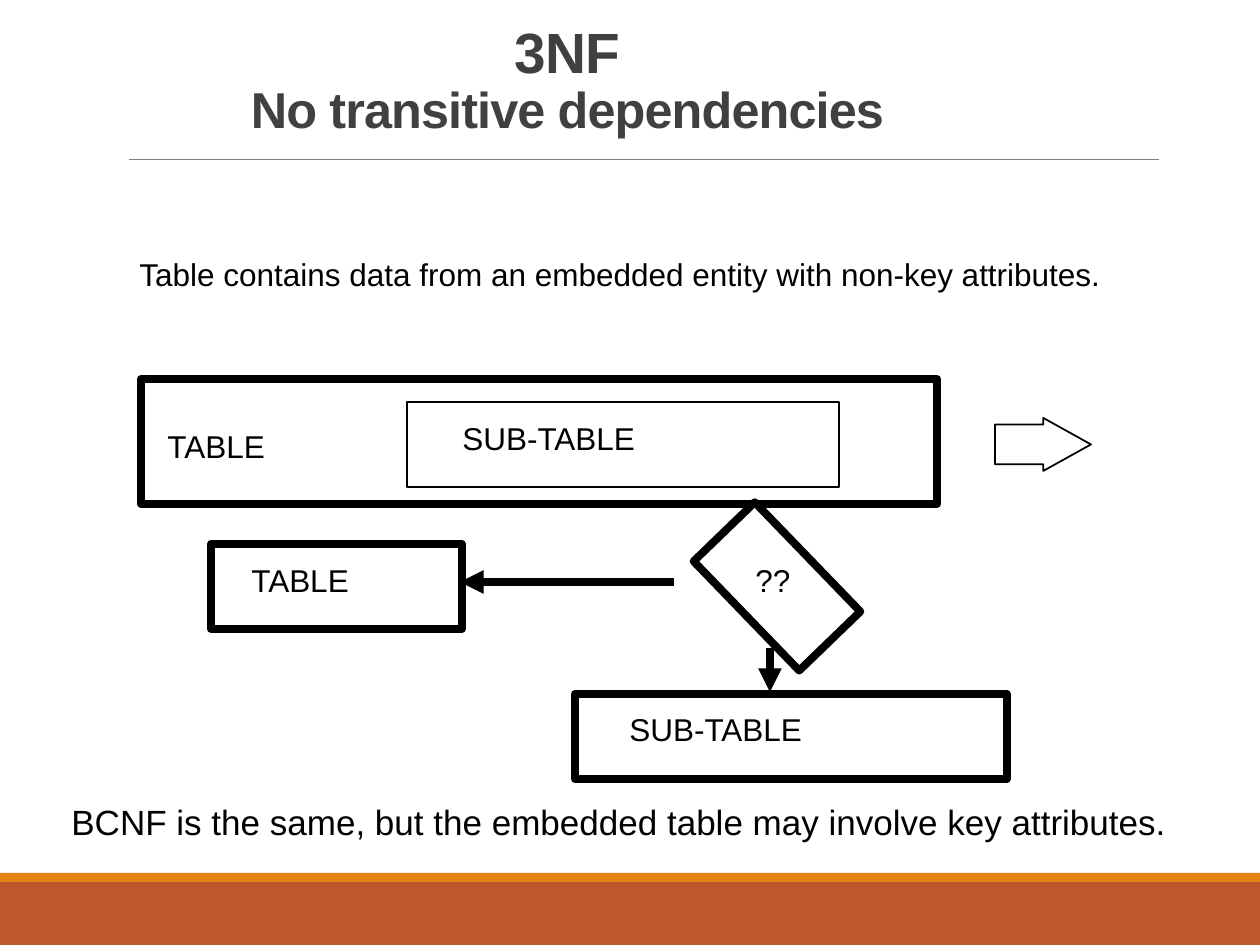
from lxml.etree import SubElement
from pptx import Presentation
from pptx.dml.color import RGBColor
from pptx.enum.shapes import MSO_CONNECTOR, MSO_SHAPE
from pptx.enum.text import MSO_ANCHOR, PP_ALIGN
from pptx.oxml.ns import qn
from pptx.util import Emu, Pt

SCALE = 914400 // 126
THICK, THIN = 4.5, 1
BOX, ARROW = MSO_SHAPE.RECTANGLE, MSO_SHAPE.RIGHT_ARROW


def px(*lengths):
    return [Emu(length * SCALE) for length in lengths]


def color(value):
    return RGBColor.from_string(value)


class Sketch:
    font = "Arial"
    ink = "000000"

    def __init__(self, slide):
        self.shapes = slide.shapes

    def band(self, place, fill):
        band = self.shapes.add_shape(BOX, *px(*place))
        band.shadow.inherit = False
        band.fill.solid()
        band.fill.fore_color.rgb = color(fill)
        band.line.fill.background()

    def outline(self, place, weight, kind=BOX, rotation=0, adjustments=()):
        outline = self.shapes.add_shape(kind, *px(*place))
        outline.shadow.inherit = False
        outline.fill.background()
        outline.line.color.rgb = color(self.ink)
        outline.line.width = Pt(weight)
        outline.rotation = rotation
        for index, value in enumerate(adjustments):
            outline.adjustments[index] = value

    def line(self, start, end, weight, ink=ink, arrow=False):
        line = self.shapes.add_connector(MSO_CONNECTOR.STRAIGHT, *px(*start, *end))
        line.line.color.rgb = color(ink)
        line.line.width = Pt(weight)
        properties = line._element.spPr
        if arrow:
            SubElement(properties.find(qn("a:ln")), qn("a:tailEnd"), type="triangle")
        SubElement(properties, qn("a:effectLst"))

    def text(self, place, wording, *sizes, ink=ink, bold=False):
        frame = self.shapes.add_textbox(*px(*place)).text_frame
        frame.word_wrap = True
        frame.vertical_anchor = MSO_ANCHOR.TOP
        frame.text = wording
        paragraph = frame.paragraphs[0]
        for run, size in zip(paragraph.runs, sizes):
            run.font.name = self.font
            run.font.size = Pt(size)
            run.font.bold = bold
            run.font.color.rgb = color(ink)
        return paragraph

    def title(self, place, wording, *sizes):
        paragraph = self.text(place, wording, *sizes, ink="404040", bold=True)
        paragraph.alignment = PP_ALIGN.CENTER
        paragraph.line_spacing = 0.9
        for run in paragraph.runs:
            run.font._element.set("spc", "-50")


deck = Presentation()
deck.slide_width, deck.slide_height = px(1260, 945)
sketch = Sketch(deck.slides.add_slide(deck.slide_layouts[6]))

sketch.band((0, 882, 1260, 63), "BD582C")
sketch.band((0, 873, 1260, 9), "E48312")
sketch.line((129, 159), (1159, 159), 0.5, "808080")
sketch.title((0, 18, 1135, 78), "3NF\vNo transitive dependencies", 32.4, 28.8)

for place, weight in [
    ((141, 379, 796, 125), THICK),
    ((407, 402, 432, 85), THIN),
    ((211, 544, 251, 85), THICK),
    ((575, 694, 432, 85), THICK),
]:
    sketch.outline(place, weight)
sketch.outline((701, 544, 152, 85), THICK, rotation=46)
sketch.outline((995, 418, 96, 53), THIN, ARROW, adjustments=(0.75, 0.9))

for place, wording, size in [
    ((127, 249, 1058, 113), "Table contains data from an embedded entity with non-key attributes.", 18),
    ((155, 421, 158, 63), "TABLE", 18),
    ((450, 413, 258, 63), "SUB-TABLE", 18),
    ((239, 555, 158, 63), "TABLE", 18),
    ((617, 704, 258, 63), "SUB-TABLE", 18),
    ((743, 555, 72, 63), "??", 18),
    ((59, 794, 1168, 54), "BCNF is the same, but the embedded table may involve key attributes.", 20),
]:
    sketch.text(place, wording, size)

for start, end in [((674, 582), (460, 582)), ((770, 648), (770, 692))]:
    sketch.line(start, end, THICK, arrow=True)

deck.save("out.pptx")
